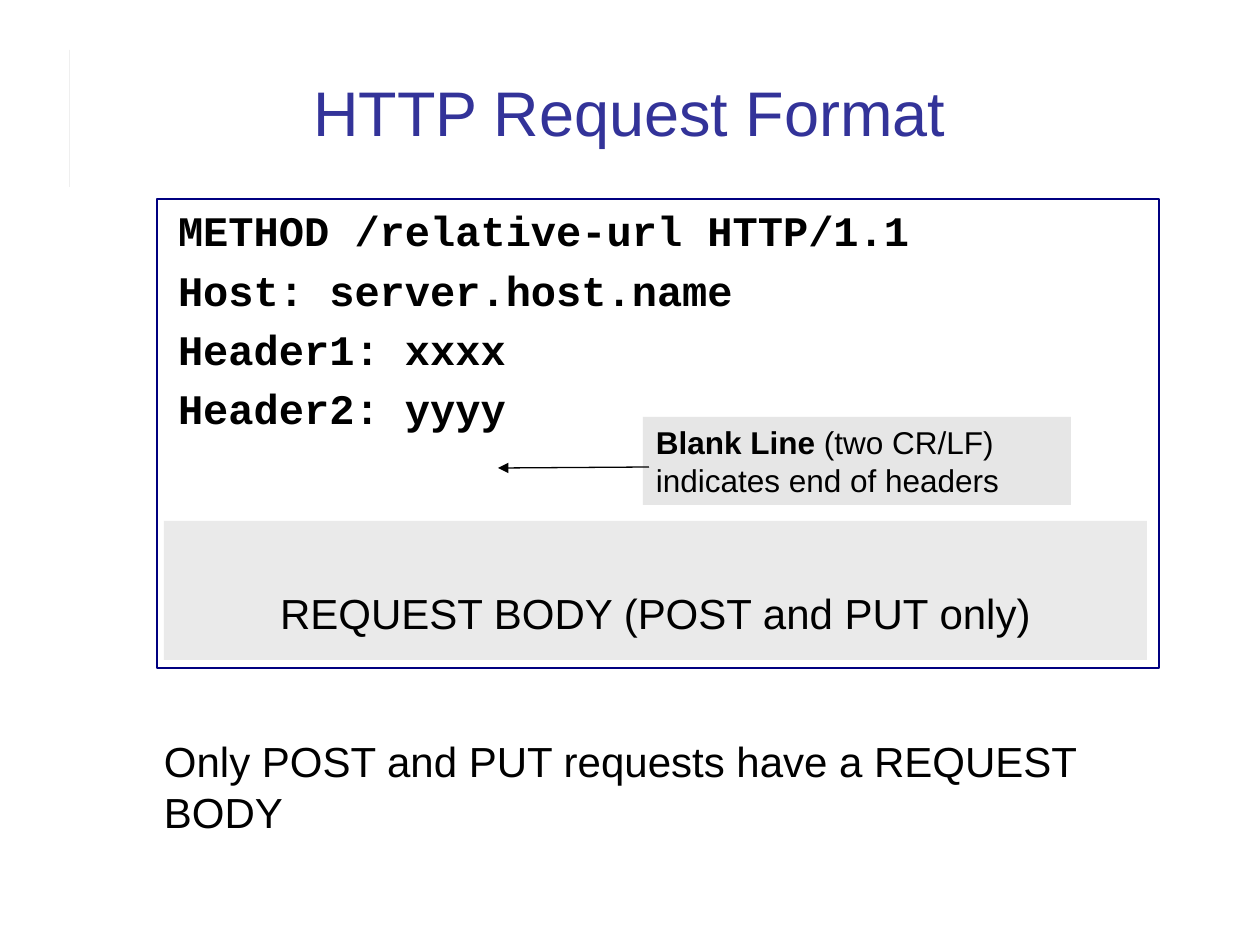
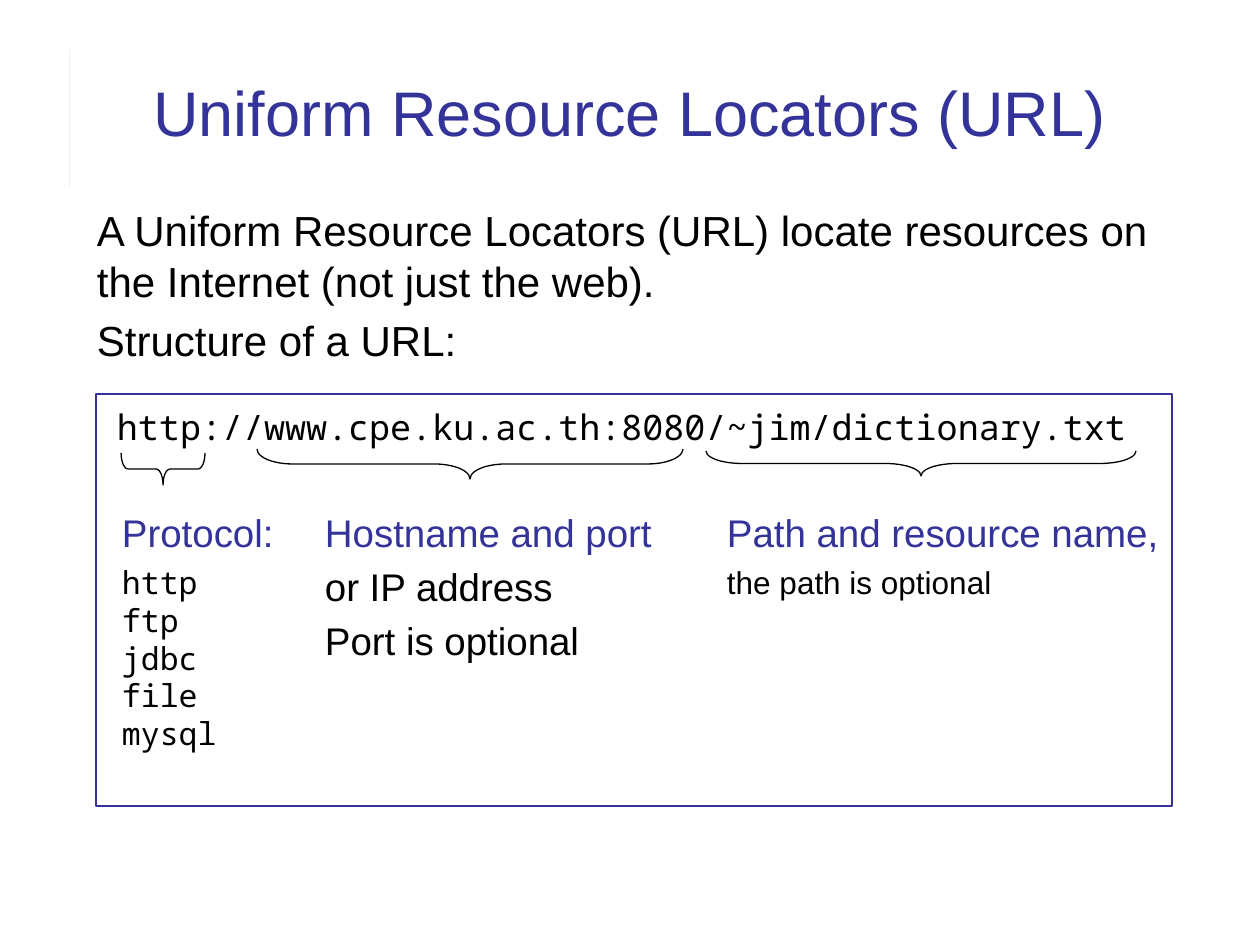
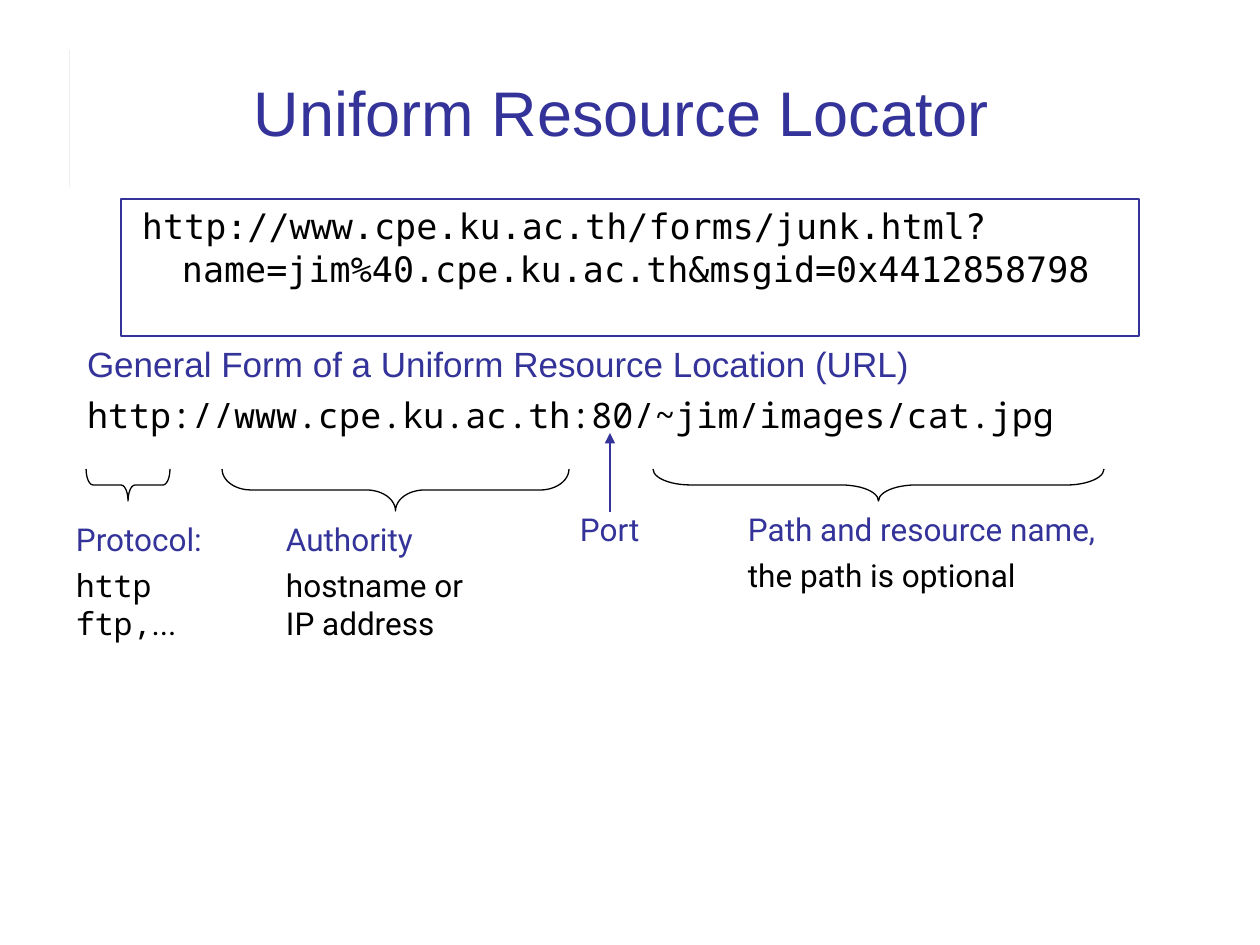
from lxml import etree
from pptx import Presentation
from pptx import util as u
from pptx.dml.color import RGBColor
from pptx.enum import shapes, text
from pptx.oxml.ns import qn

SCALE = 914400 / 126  # EMU per px
COLORS = {
    "title": "333399",
    "text": "000000",
    "navy": "000080",
    "rule": "808080",
    "note": "E6E6E6",
    "body": "EAEAEA",
}
SANS, COURIER, ROBOTO = "Arial", "Courier New", "Roboto"
MONO, DEJAVU = "Noto Sans Mono", "DejaVu Sans Mono"
LINE_HEIGHT = 1.2  # exact line pitch as a multiple of the font size
INSET_X, INSET_Y = 13, 6
HANGING = (48, -40)  # left margin and first-line indent


def px(length):
    return u.Emu(round(length * SCALE))


def box(*lengths):
    return [px(length) for length in lengths]


def color(name):
    return RGBColor.from_string(COLORS[name])


def run(words, size, font=SANS, tint="text", bold=False):
    return words, size, font, tint, bold


def para(*runs, before=0, hanging=False):
    return runs, before, hanging


def write(frame, paragraphs, align=text.PP_ALIGN.LEFT, anchor=text.MSO_ANCHOR.TOP,
          wrap=True, top=INSET_Y, bottom=INSET_Y):
    frame.word_wrap = wrap
    frame.auto_size = text.MSO_AUTO_SIZE.NONE
    frame.vertical_anchor = anchor
    frame.margin_left = frame.margin_right = px(INSET_X)
    frame.margin_top, frame.margin_bottom = px(top), px(bottom)
    for index, (runs, before, hanging) in enumerate(paragraphs):
        paragraph = frame.paragraphs[0] if index == 0 else frame.add_paragraph()
        paragraph.alignment = align
        paragraph.space_before = u.Pt(before)
        paragraph.line_spacing = u.Pt(LINE_HEIGHT * runs[0][1])
        if hanging:
            margin, indent = HANGING
            properties = paragraph._p.get_or_add_pPr()
            properties.set("marL", str(px(margin)))
            properties.set("indent", str(px(indent)))
        for words, size, font, tint, bold in runs:
            for number, line in enumerate(words.split("\n")):
                if number:
                    paragraph.add_line_break()
                piece = paragraph.add_run()
                piece.text = line
                piece.font.size, piece.font.name = u.Pt(size), font
                piece.font.bold = bold
                piece.font.color.rgb = color(tint)


def add_text(slide, place, *paragraphs, **options):
    write(slide.shapes.add_textbox(*box(*place)).text_frame, paragraphs, **options)


def add_panel(slide, place, *paragraphs, fill=None, line=None, **options):
    shape = slide.shapes.add_shape(shapes.MSO_SHAPE.RECTANGLE, *box(*place))
    shape.shadow.inherit = False
    if fill:
        shape.fill.solid()
        shape.fill.fore_color.rgb = color(fill)
    else:
        shape.fill.background()
    if line:
        shape.line.color.rgb = color(line)
        shape.line.width = u.Pt(1)
    else:
        shape.line.fill.background()
    if paragraphs:
        write(shape.text_frame, paragraphs, **options)


def add_brace(slide, left, top, width, height):
    """Brace that points down: a right brace turned a quarter, about its centre."""
    shape = slide.shapes.add_shape(
        shapes.MSO_SHAPE.RIGHT_BRACE,
        *box(left + (width - height) / 2, top + (height - width) / 2, height, width))
    shape.rotation = 90
    shape.adjustments[0] = width / height / 12
    shape.shadow.inherit = False
    shape.fill.background()
    shape.line.color.rgb = color("text")
    shape.line.width = u.Pt(0.75)


def add_arrow(slide, start, end, tint, weight):
    connector = slide.shapes.add_connector(
        shapes.MSO_CONNECTOR.STRAIGHT, *box(*start, *end))
    connector.line.color.rgb = color(tint)
    connector.line.width = u.Pt(weight)
    etree.SubElement(connector.line._get_or_add_ln(), qn("a:tailEnd"), type="triangle")
    etree.SubElement(connector._element.spPr, qn("a:effectLst"))


def add_slide(presentation, title, title_width=1091):
    slide = presentation.slides.add_slide(presentation.slide_layouts[5])
    add_panel(slide, (70, 50, 0, 137), fill="rule")
    holder = slide.shapes.title
    holder.left, holder.top, holder.width, holder.height = box(84, 35, title_width, 120)
    write(holder.text_frame, [para(run(title, 36, tint="title"))],
          align=text.PP_ALIGN.CENTER, anchor=text.MSO_ANCHOR.BOTTOM)
    return slide


def request_format(presentation):
    slide = add_slide(presentation, "HTTP Request Format")
    # Request lines
    lines = ["METHOD /relative-url HTTP/1.1", "Host: server.host.name",
             "Header1: xxxx", "Header2: yyyy"]
    add_panel(slide, (157, 199, 1002, 469),
              *[para(run(line, 24, COURIER, bold=True), before=5 if index else 0,
                     hanging=True) for index, line in enumerate(lines)],
              line="navy")
    # Blank-line note
    add_panel(slide, (643, 417, 428, 88),
              para(run("Blank Line", 18, bold=True),
                   run(" (two CR/LF) indicates end of headers", 18)), fill="note")
    add_text(slide, (151, 730, 1008, 113),
             para(run("Only POST and PUT requests have a REQUEST BODY", 24)))
    add_arrow(slide, (649, 467), (498, 468), "text", 0.75)
    # Request body
    add_panel(slide, (164, 521, 983, 139),
              para(run("REQUEST BODY (POST and PUT only)", 24)), fill="body",
              align=text.PP_ALIGN.CENTER, anchor=text.MSO_ANCHOR.BOTTOM,
              wrap=False, bottom=22)


def url_structure(presentation):
    slide = add_slide(presentation, "Uniform Resource Locators (URL)")
    add_text(slide, (84, 199, 1091, 255),
             para(run("A Uniform Resource Locators (URL) locate resources on "
                      "the Internet (not just the web).", 24)),
             para(run("Structure of a URL:", 24), before=5))
    # URL and its parts
    add_panel(slide, (96, 394, 1076, 412), line="title")
    add_text(slide, (104, 399, 1071, 54),
             para(run("http://www.cpe.ku.ac.th:8080/~jim/dictionary.txt", 20, MONO)))
    for brace in [(121, 453, 84, 32), (257, 449, 426, 30), (706, 451, 430, 25)]:
        add_brace(slide, *brace)
    # Explanations
    schemes = ["http", "ftp", "jdbc", "file", "mysql"]
    add_text(slide, (109, 503, 193, 256), para(run("Protocol:", 22, tint="title")),
             *[para(run(scheme, 18, MONO), before=0 if index else 4.5)
               for index, scheme in enumerate(schemes)])
    add_text(slide, (312, 503, 393, 168),
             para(run("Hostname and port", 22, tint="title")),
             para(run("or IP address", 22), before=4.5),
             para(run("Port is optional", 22), before=4.5))
    add_text(slide, (714, 503, 458, 105),
             para(run("Path and resource name,", 22, tint="title")),
             para(run("the path is optional", 18), before=4.5))


def url_general_form(presentation):
    slide = add_slide(presentation, "Uniform Resource Locator", title_width=1075)
    # Example with a query
    add_panel(slide, (121, 199, 1018, 137),
              para(run("http://www.cpe.ku.ac.th/forms/junk.html?\n"
                       "name=jim%40.cpe.ku.ac.th&msgid=0x4412858798", 20, DEJAVU),
                   hanging=True), line="title")
    # General form and its parts
    add_text(slide, (74, 337, 1091, 242),
             para(run("General Form of a Uniform Resource Location (URL)", 20,
                      tint="title")),
             para(run("http://www.cpe.ku.ac.th:80/~jim/images/cat.jpg", 20, MONO),
                  before=5))
    for brace in [(86, 469, 84, 32), (222, 469, 347, 42), (653, 469, 451, 32)]:
        add_brace(slide, *brace)
    # Explanations
    add_text(slide, (63, 514, 189, 135),
             para(run("Protocol:", 18, ROBOTO, "title")),
             para(run("http", 18, MONO), before=4.5),
             para(run("ftp,", 18, MONO), run("...", 18, ROBOTO)))
    add_text(slide, (273, 514, 231, 135),
             para(run("Authority", 18, ROBOTO, "title")),
             para(run("hostname or IP address", 18, ROBOTO), before=4.5))
    add_text(slide, (735, 504, 388, 135),
             para(run("Path and resource name,", 18, ROBOTO, "title")),
             para(run("the path is optional", 18, ROBOTO), before=4.5))
    add_text(slide, (567, 504, 95, 97), para(run("Port", 18, ROBOTO, "title")))
    add_arrow(slide, (610, 512), (610, 433), "title", 1.5)


def main():
    presentation = Presentation()
    presentation.slide_width, presentation.slide_height = box(1260, 945)
    request_format(presentation)
    url_structure(presentation)
    url_general_form(presentation)
    presentation.save("out.pptx")


if __name__ == "__main__":
    main()
